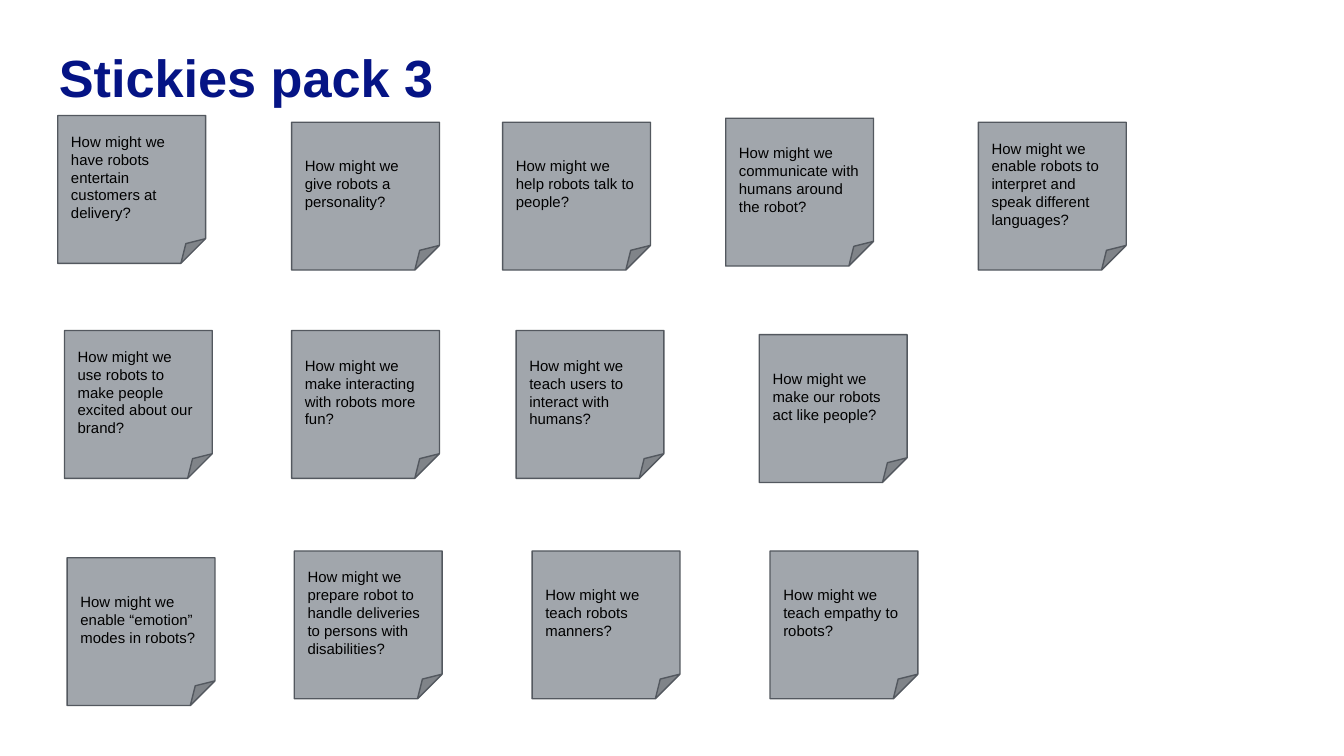
from pptx import Presentation
from pptx.dml.color import RGBColor
from pptx.enum.shapes import MSO_SHAPE
from pptx.enum.text import MSO_ANCHOR, PP_ALIGN
from pptx.util import Inches, Pt

NAVY = RGBColor(0x05, 0x14, 0x85)
BLACK = RGBColor(0x00, 0x00, 0x00)
NOTE_FILL = RGBColor(0xA1, 0xA6, 0xAC)
NOTE_LINE = RGBColor(0x53, 0x58, 0x5F)
FONT = "Arial"
NOTE_SIZE = 1.1
INSET = 0.1

# Each note: left, top, and the question that follows "How might we"
NOTES = [
    (0.43, 0.86, "have robots entertain customers at delivery?"),
    (2.17, 0.91, "give robots a personality?"),
    (3.74, 0.91, "help robots talk to people?"),
    (5.4, 0.88, "communicate with humans around the robot?"),
    (7.28, 0.91, "enable robots to interpret and speak different languages?"),
    (0.48, 2.46, "use robots to make people excited about our brand?"),
    (2.17, 2.46, "make interacting with robots more fun?"),
    (3.84, 2.46, "teach users to interact with humans?"),
    (5.65, 2.49, "make our robots act like people?"),
    (0.5, 4.15, "enable “emotion” modes in robots?"),
    (2.19, 4.1, "prepare robot to handle deliveries to persons with disabilities?"),
    (3.96, 4.1, "teach robots manners?"),
    (5.73, 4.1, "teach empathy to robots?"),
]


def write_text(sp, text, size, color, anchor, bold=False):
    tf = sp.text_frame
    tf.word_wrap = True
    tf.vertical_anchor = anchor
    tf.margin_left = tf.margin_right = Inches(INSET)
    tf.margin_top = tf.margin_bottom = Inches(INSET)
    p = tf.paragraphs[0]
    p.alignment = PP_ALIGN.LEFT
    r = p.add_run()
    r.text = text
    r.font.name = FONT
    r.font.size = Pt(size)
    r.font.bold = bold
    r.font.color.rgb = color


def add_title(slide, left, top, width, height, text):
    sp = slide.shapes.add_textbox(
        Inches(left), Inches(top), Inches(width), Inches(height))
    write_text(sp, text, 28, NAVY, MSO_ANCHOR.TOP, bold=True)


def add_sticky_note(slide, left, top, size, text):
    sp = slide.shapes.add_shape(
        MSO_SHAPE.FOLDED_CORNER,
        Inches(left), Inches(top), Inches(size), Inches(size))
    sp.shadow.inherit = False
    sp.fill.solid()
    sp.fill.fore_color.rgb = NOTE_FILL
    sp.line.color.rgb = NOTE_LINE
    sp.line.width = Pt(0.75)
    write_text(sp, text, 8, BLACK, MSO_ANCHOR.MIDDLE)


def main():
    prs = Presentation()
    prs.slide_width = Inches(10)
    prs.slide_height = Inches(10 * 9 / 16)
    slide = prs.slides.add_slide(prs.slide_layouts[6])
    for left, top, question in NOTES:
        add_sticky_note(slide, left, top, NOTE_SIZE, f"How might we {question}")
    add_title(slide, 0.34, 0.24, 9.32, 0.63, "Stickies pack 3")
    prs.save("out.pptx")


if __name__ == "__main__":
    main()
